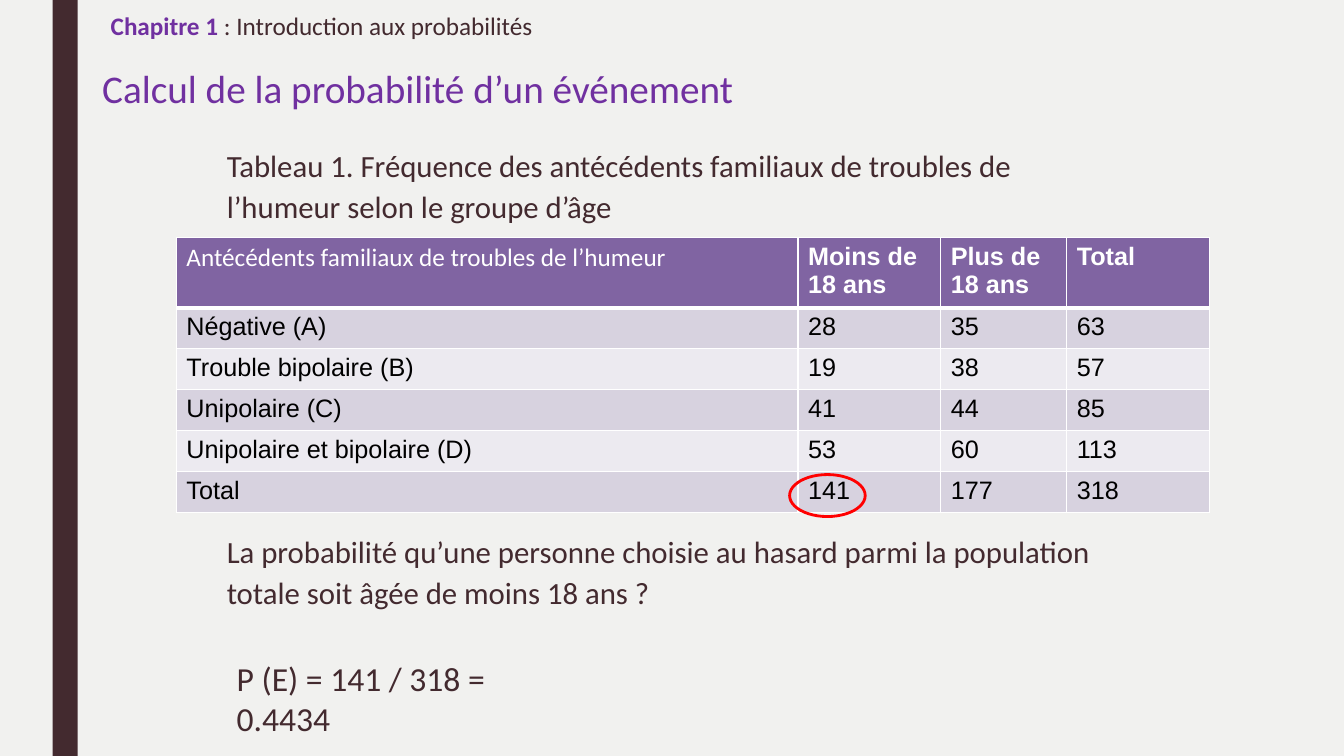
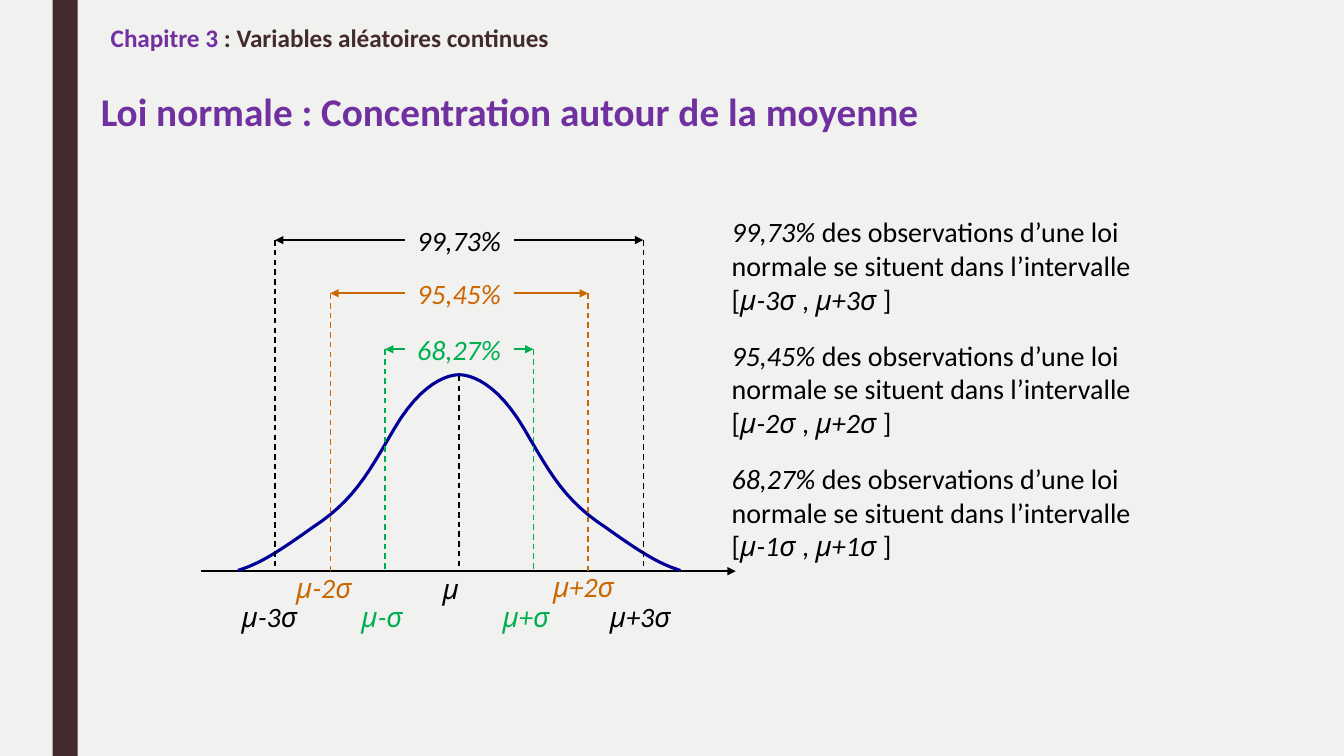
"""Two statistics slides: a frequency table and the normal curve."""
from lxml.etree import SubElement
from pptx import Presentation
from pptx.dml.color import RGBColor
from pptx.enum.dml import MSO_LINE
from pptx.enum.shapes import MSO_CONNECTOR, MSO_SHAPE
from pptx.enum.text import MSO_ANCHOR, MSO_AUTO_SIZE, PP_ALIGN
from pptx.oxml.ns import qn
from pptx.util import Pt

tint = RGBColor.from_string
PURPLE, DARK, PAPER = "7030A0", "432A2F", "F1F1EF"
BLACK, WHITE, ORANGE, GREEN = "000000", "FFFFFF", "CC6600", "00B050"
SIZE = 20


def write(frame, size, runs, pad=None, face="Calibri", align=PP_ALIGN.LEFT):
    """Fill a frame with (text, colour, style) runs; Greek letters get their own font."""
    frame.word_wrap = True
    if pad is not None:
        frame.margin_left = frame.margin_right = frame.margin_bottom = 0
        frame.margin_top = Pt(pad)
    para = frame.paragraphs[0]
    para.alignment = align
    for text, tone, style in runs:
        run = para.add_run()
        run.text = text
        font = run.font
        font.name = "Noto Sans" if text in ("μ", "σ") else face
        font.size = Pt(size)
        font.bold = "b" in style
        font.italic = "i" in style
        font.color.rgb = tint(tone)
    return para


def stroke(slide, ends, tone, width, dash=False, arrow=False):
    """Draw a straight line, dashed or with an arrowhead at its far end."""
    line = slide.shapes.add_connector(MSO_CONNECTOR.STRAIGHT, *map(Pt, ends))
    line.line.color.rgb = tint(tone)
    line.line.width = Pt(width)
    if dash:
        line.line.dash_style = MSO_LINE.DASH
    if arrow:
        SubElement(line.line._get_or_add_ln(), qn("a:tailEnd"), type="triangle")
    SubElement(line.element.spPr, qn("a:effectLst"))
    return line


deck = Presentation()
deck.slide_width, deck.slide_height = Pt(960), Pt(540)
back = deck.slide_master.background.fill
back.solid()
back.fore_color.rgb = tint(PAPER)
layout = deck.slide_layouts[5]

heads = [
    ("Chapitre 1 ", ": Introduction aux probabilités", "", 3.6,
     "Calcul de la probabilité d’un événement", 73, 45.4, 0.7),
    ("Chapitre 3 ", ": Variables aléatoires continues", "b", 12.2,
     "Loi normale : Concentration autour de la moyenne", 72, 62, 0),
]
for part, topic, style, top, name, left, drop, pad in heads:
    slide = deck.slides.add_slide(layout)
    title = slide.shapes.title
    title.left, title.top, title.width, title.height = map(Pt, (left, drop, 810, 35))
    frame = title.text_frame
    frame.auto_size = MSO_AUTO_SIZE.NONE
    frame.vertical_anchor = MSO_ANCHOR.TOP
    write(frame, 28, [(name, PURPLE, style)], pad)
    box = slide.shapes.add_textbox(Pt(72), Pt(top), Pt(340), Pt(29))
    write(box.text_frame, 18, [(part, PURPLE, "b"), (topic, DARK, style)])

odds, bell = deck.slides

band = odds.shapes.add_shape(MSO_SHAPE.RECTANGLE, Pt(37.5), 0, Pt(18), Pt(540))
band.shadow.inherit = False
band.fill.solid()
band.fill.fore_color.rgb = tint(DARK)
band.line.fill.background()
layout.shapes.element.insert(2, band.element)

notes = [
    ("Tableau 1. Fréquence des antécédents familiaux de troubles de l’humeur "
     "selon le groupe d’âge", 101.5, 605, 60),
    ("La probabilité qu’une personne choisie au hasard parmi la population "
     "totale soit âgée de moins 18 ans ?", 377.3, 634, 90),
]
for text, top, width, height in notes:
    box = odds.shapes.add_textbox(Pt(162), Pt(top), Pt(width), Pt(height))
    write(box.text_frame, 22, [(text, DARK, "")], 0.7).line_spacing = 1.1

rows = [
    ("Antécédents familiaux de troubles de l’humeur", "Moins de 18 ans", "Plus de 18 ans", "Total"),
    ("Négative (A)", "28", "35", "63"),
    ("Trouble bipolaire (B)", "19", "38", "57"),
    ("Unipolaire (C)", "41", "44", "85"),
    ("Unipolaire et bipolaire (D)", "53", "60", "113"),
    ("Total", "141", "177", "318"),
]
widths = (444, 102, 90, 102)
grid = odds.shapes.add_table(len(rows), 4, Pt(126), Pt(169.4), Pt(sum(widths)), Pt(196)).table
for col, width in zip(grid.columns, widths):
    col.width = Pt(width)
for i, row in enumerate(rows):
    grid.rows[i].height = Pt(29.25 if i else 50)
    for j, text in enumerate(row):
        cell = grid.cell(i, j)
        edges = cell._tc.get_or_add_tcPr()
        for side in "LRTB":
            thick = 3 if (i, side) in ((0, "B"), (1, "T")) else 1
            edge = SubElement(edges, qn("a:ln" + side), w=str(Pt(thick)))
            paint = SubElement(edge, qn("a:solidFill"))
            SubElement(paint, qn("a:srgbClr"), val=WHITE)
        cell.fill.solid()
        shade = ("ECEAF0", "D7D2DF")[i % 2] if i else "8064A2"
        cell.fill.fore_color.rgb = tint(shade)
        style = "b" if i == 0 and j else ""
        face = "Arial" if i or j else "Calibri"
        write(cell.text_frame, 18, [(text, BLACK if i else WHITE, style)], face=face)

ring = odds.shapes.add_shape(MSO_SHAPE.OVAL, Pt(564), Pt(339), Pt(54), Pt(30))
ring.shadow.inherit = False
ring.fill.background()
ring.line.color.rgb = tint("FF0000")
ring.line.width = Pt(2)
box = odds.shapes.add_textbox(Pt(162), Pt(466.5), Pt(263.5), Pt(58))
write(box.text_frame, 24, [("P (E) = 141 / 318 = 0.4434", DARK, "")])

MEAN, BASE = 328, 408
stroke(bell, (143.5, BASE, 525.5, BASE), BLACK, 1.5, arrow=True)

knots = [(-158, 407.5), (-144, 403), (-133, 397), (-105, 377), (-76, 358),
         (-66, 340), (-46.5, 306.5), (-27, 273), (-8, 267.7), (0, 267.7)]
half = [knots[0]]
for k in range(0, 9, 3):
    for step in range(1, 13):
        t = step / 12
        ratio = ((1 - t) ** 3, 3 * t * (1 - t) ** 2, 3 * t * t * (1 - t), t ** 3)
        half.append(tuple(sum(r * p[a] for r, p in zip(ratio, knots[k:k + 4])) for a in (0, 1)))
curve = half + [(-x, y) for x, y in half[-2::-1]]
dots = [(Pt(MEAN + x), Pt(y)) for x, y in curve]
pen = bell.shapes.build_freeform(*dots[0])
pen.add_line_segments(dots[1:], close=False)
hump = pen.convert_to_shape()
hump.shadow.inherit = False
hump.fill.background()
hump.line.color.rgb = tint("000099")
hump.line.width = Pt(2.25)
stroke(bell, (MEAN, 268.5, MEAN, BASE), BLACK, 1, dash=True)

spans = [("99,73%", "3", BLACK, 131.5, 171.5),
         ("95,45%", "2", ORANGE, 92, 209.5),
         ("68,27%", "1", GREEN, 53, 249.5)]
for n, (share, count, tone, reach, top) in enumerate(spans):
    label = bell.shapes.add_textbox(Pt(MEAN - 39), Pt(top - 15.5), Pt(78), Pt(31))
    write(label.text_frame, SIZE, [(share, tone, "i")], align=PP_ALIGN.CENTER)
    for sign, site in ((-1, 1), (1, 3)):
        edge = MEAN + sign * reach
        stroke(bell, (edge, top, edge, BASE), tone, 1, dash=True)
        arrow = stroke(bell, (MEAN + sign * 39, top, edge, top), tone, 1.5, arrow=True)
        arrow.begin_connect(label, site)
    runs = [(share, BLACK, "i"),
            (" des observations d’une loi normale se situent dans l’intervalle [", BLACK, ""),
            ("μ", BLACK, "i"), ("-" + count, BLACK, "i"), ("σ", BLACK, "i"),
            (" , ", BLACK, ""),
            ("μ", BLACK, "i"), ("+" + count, BLACK, "i"), ("σ", BLACK, "i"),
            (" ]", BLACK, "")]
    box = bell.shapes.add_textbox(Pt(515.5), Pt(150 + 88 * n), Pt(301), Pt(79))
    write(box.text_frame, SIZE, runs)

marks = [("-3", BLACK, 165.5, 425), ("-2", ORANGE, 204.5, 404), ("-", GREEN, 251, 425),
         ("", BLACK, 309, 404.5), ("+", GREEN, 352, 425), ("+2", ORANGE, 388, 403.5),
         ("+3", BLACK, 428.5, 425)]
for shift, tone, left, top in marks:
    box = bell.shapes.add_textbox(Pt(left), Pt(top), Pt(70), Pt(26))
    texts = ("μ", shift, "σ") if shift else ("μ",)
    write(box.text_frame, SIZE, [(text, tone, "i") for text in texts])

deck.save("out.pptx")
